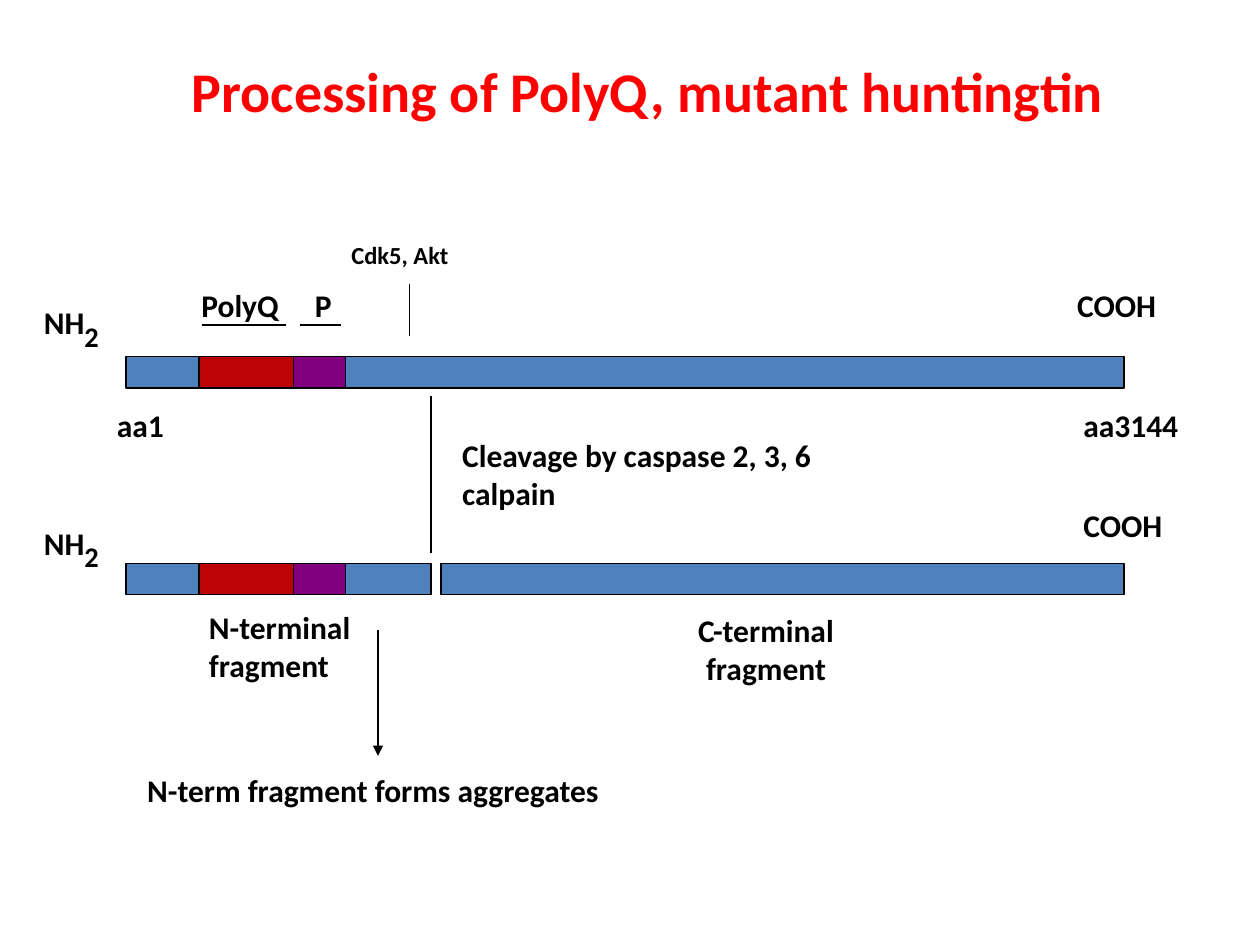
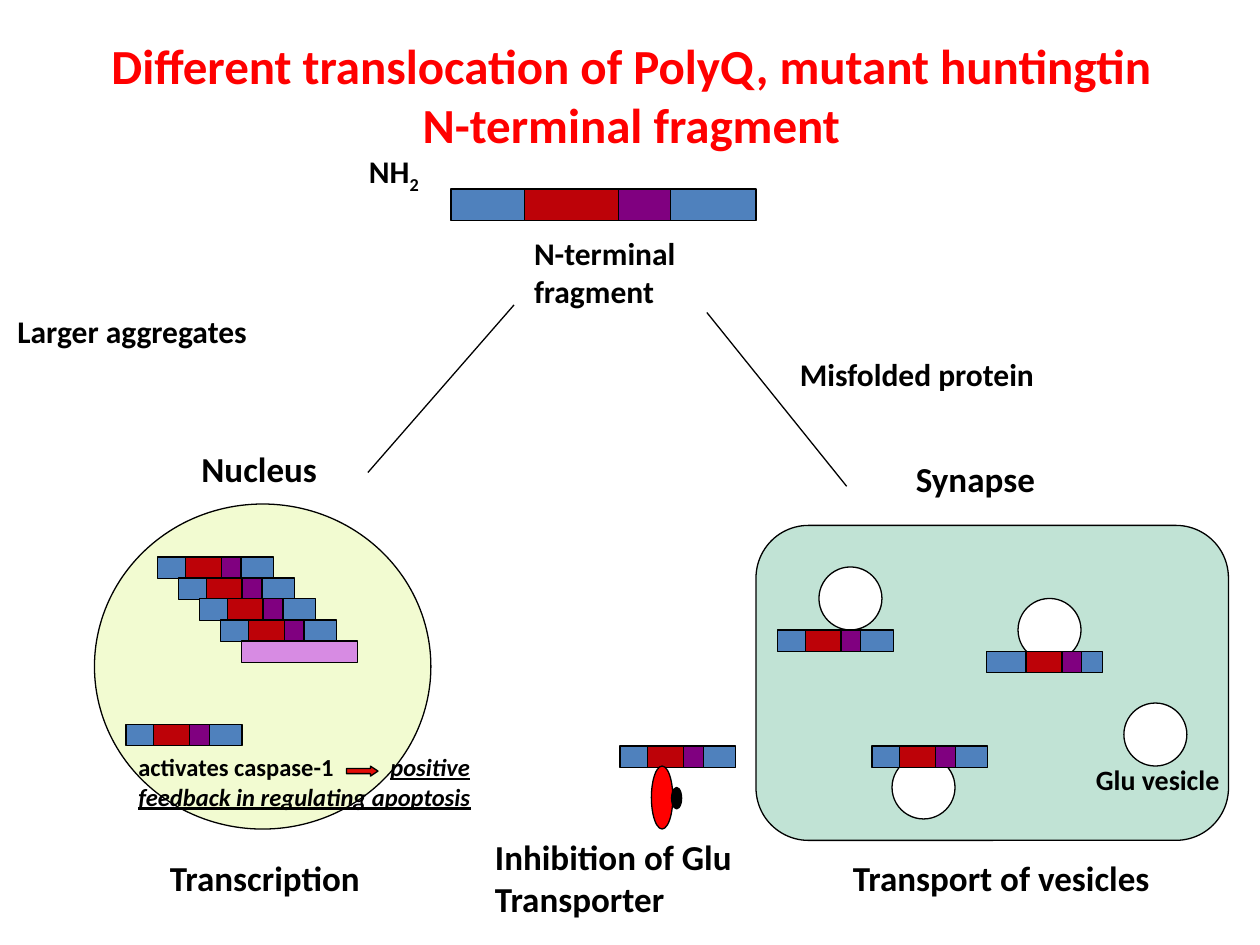
import dataclasses

import lxml.etree
import pptx
import pptx.dml.color
import pptx.enum.shapes
import pptx.enum.text
import pptx.oxml.ns
import pptx.util

Inches = pptx.util.Inches
Shape = pptx.enum.shapes.MSO_SHAPE
Align = pptx.enum.text.PP_ALIGN
AutoSize = pptx.enum.text.MSO_AUTO_SIZE


@dataclasses.dataclass(frozen=True)
class Theme:
    """Colours, type sizes and proportions shared by both slides."""

    font: str = "Calibri"
    ink: str = "000000"
    title: str = "FF0000"
    protein: str = "4F81BD"
    polyq: str = "BD0208"
    proline: str = "800080"
    aggregate: str = "D78BE3"
    nucleus: str = "F2FBD1"
    synapse: str = "C1E3D5"
    vesicle: str = "FFFFFF"
    arrow: str = "E30D08"
    label_size: int = 18
    heading_size: int = 20
    subscript_size: int = 28
    vesicle_size: int = 16
    note_size: int = 14
    line_width: float = 0.75
    bar_height: float = 0.25
    bar_width: float = 2.42
    small_height: float = 0.17
    small_width: float = 0.92
    polyq_start: float = 0.24
    polyq_share: float = 0.31
    proline_share: float = 0.17


THEME = Theme()


def rgb(value):
    """Return a colour from its hex value."""
    return pptx.dml.color.RGBColor.from_string(value)


def set_attributes(target, values):
    """Set each attribute of the target from a dict."""
    for name, value in values.items():
        setattr(target, name, value)


def write_paragraphs(frame, paragraphs, size, color=THEME.ink, alignment=Align.LEFT):
    """Fill a frame with paragraphs, each a list of (text, format) runs."""
    for index, runs in enumerate(paragraphs):
        paragraph = frame.add_paragraph() if index else frame.paragraphs[0]
        paragraph.alignment = alignment
        for text, values in runs:
            run = paragraph.add_run()
            run.text = text
            font = {"name": THEME.font, "size": pptx.util.Pt(size), "bold": True}
            set_attributes(run.font, font | values)
            run.font.color.rgb = rgb(color)


def plain(text):
    """Turn lines of text into paragraphs of one run."""
    return [[(line, {})] for line in text.split("\n")]


def add_label(slide, left, top, width, height, paragraphs,
              size=THEME.label_size, wrap=False, alignment=Align.LEFT):
    """Add a bold text box that fits its text."""
    if isinstance(paragraphs, str):
        paragraphs = plain(paragraphs)
    box = slide.shapes.add_textbox(*map(Inches, (left, top, width, height)))
    set_attributes(box.text_frame, {"word_wrap": wrap, "auto_size": AutoSize.SHAPE_TO_FIT_TEXT})
    write_paragraphs(box.text_frame, paragraphs, size, alignment=alignment)


def add_amino_end(slide, left, top, width, height, subscript_size):
    """Add the NH2 label with its lowered digit."""
    digit = {"size": pptx.util.Pt(subscript_size)}
    add_label(slide, left, top, width, height, [[("NH", {}), ("2", digit)]])
    run = slide.shapes[-1].text_frame.paragraphs[0].runs[1]
    run._r.get_or_add_rPr().set("baseline", "-25000")


def add_outlined(shapes, kind, left, top, width, height, fill):
    """Add a filled preset shape with a thin dark outline."""
    shape = shapes.add_shape(kind, *map(Inches, (left, top, width, height)))
    shape.shadow.inherit = False
    shape.fill.solid()
    shape.fill.fore_color.rgb = rgb(fill)
    shape.line.color.rgb = rgb(THEME.ink)
    shape.line.width = pptx.util.Pt(THEME.line_width)
    return shape


def add_line(slide, start, end, arrow=False):
    """Add a thin straight line, with an arrowhead at its end if asked."""
    connector = slide.shapes.add_connector(
        pptx.enum.shapes.MSO_CONNECTOR.STRAIGHT, *map(Inches, start + end))
    connector.line.color.rgb = rgb(THEME.ink)
    connector.line.width = pptx.util.Pt(THEME.line_width)
    properties = connector._element.spPr
    if arrow:
        outline = properties.find(pptx.oxml.ns.qn("a:ln"))
        lxml.etree.SubElement(outline, pptx.oxml.ns.qn("a:tailEnd"), type="triangle")
    lxml.etree.SubElement(properties, pptx.oxml.ns.qn("a:effectLst"))


def add_protein(shapes, left, top, width, height, domain_scale=None, polyq_start=THEME.polyq_start):
    """Add a protein bar with its PolyQ and proline domains."""
    scale = domain_scale or width
    polyq_left = left + polyq_start * scale
    polyq_width = THEME.polyq_share * scale
    parts = [
        (left, width, THEME.protein),
        (polyq_left, polyq_width, THEME.polyq),
        (polyq_left + polyq_width, THEME.proline_share * scale, THEME.proline),
    ]
    for part_left, part_width, fill in parts:
        add_outlined(shapes, Shape.RECTANGLE, part_left, top, part_width, height, fill)


def add_small_fragment(slide, left, top, polyq_start=THEME.polyq_start):
    """Add a grouped small N-terminal fragment and return the group's shapes."""
    shapes = slide.shapes.add_group_shape().shapes
    add_protein(shapes, left, top, THEME.small_width, THEME.small_height, polyq_start=polyq_start)
    return shapes


def add_titled_slide(presentation, box, text, size, alignment):
    """Add a title-only slide with a red title in the given box."""
    slide = presentation.slides.add_slide(presentation.slide_layouts[5])
    title = slide.shapes.title
    set_attributes(title, dict(zip(("left", "top", "width", "height"), map(Inches, box))))
    set_attributes(title.text_frame, {
        "word_wrap": True,
        "auto_size": AutoSize.NONE,
        "vertical_anchor": pptx.enum.text.MSO_ANCHOR.TOP,
    })
    write_paragraphs(title.text_frame, plain(text), size, THEME.title, alignment)
    return slide


def draw_full_protein(slide, left, top):
    """Draw the whole protein with its domains and ends labelled."""
    add_protein(slide.shapes, left, top, 7.92, THEME.bar_height, THEME.bar_width)
    add_amino_end(slide, left - 0.75, top - 0.61, 0.83, 0.5, THEME.subscript_size)
    labels = [
        (0.5, -0.61, 0.87, "PolyQ"),
        (1.4, -0.61, 0.35, "P"),
        (7.45, -0.61, 1.22, "COOH"),
        (-0.17, 0.34, 0.6, "aa1"),
        (7.5, 0.34, 1.1, "aa3144"),
    ]
    for x, y, width, text in labels:
        add_label(slide, left + x, top + y, width, 0.4, text)
    for x_start, x_end in ((0.6, 1.27), (1.38, 1.71)):
        add_line(slide, (left + x_start, top - 0.25), (left + x_end, top - 0.25))
    add_line(slide, (left + 2.25, top - 0.16), (left + 2.25, top - 0.58))
    add_label(slide, left + 1.69, top - 0.97, 1.06, 0.33, "Cdk5, Akt", THEME.note_size)


def draw_cleavage(slide, left, top):
    """Draw the cleavage site and the two fragments it leaves."""
    add_line(slide, (left + 2.42, top - 1.33), (left + 2.42, top - 0.08))
    add_label(slide, left + 2.57, top - 1.06, 3.06, 0.7, "Cleavage by caspase 2, 3, 6\ncalpain")
    add_protein(slide.shapes, left, top, THEME.bar_width, THEME.bar_height)
    add_outlined(slide.shapes, Shape.RECTANGLE, left + 2.5, top, 5.42, THEME.bar_height, THEME.protein)
    add_amino_end(slide, left - 0.75, top - 0.5, 0.83, 0.5, THEME.subscript_size)
    add_label(slide, left + 7.5, top - 0.5, 1.22, 0.5, "COOH")
    add_label(slide, left + 0.56, top + 0.31, 1.44, 0.7, "N-terminal\nfragment")
    add_label(slide, left + 4.33, top + 0.33, 1.5, 0.7, "C-terminal\nfragment", alignment=Align.CENTER)
    add_line(slide, (left + 2, top + 0.53), (left + 2, top + 1.53), arrow=True)
    add_label(slide, left + 0.07, top + 1.6, 5.2, 0.51, "N-term fragment forms aggregates")


def draw_fragment_routes(slide, left, top):
    """Draw the N-terminal fragment and the two routes it takes."""
    group = slide.shapes.add_group_shape()
    add_protein(group.shapes, left, top, THEME.bar_width, THEME.bar_height)
    add_amino_end(slide, left - 0.75, top - 0.34, 0.66, 0.4, THEME.label_size)
    add_label(slide, left + 0.56, top + 0.31, 1.44, 0.7, "N-terminal\nfragment")
    add_line(slide, (left + 0.5, top + 0.92), (left - 0.66, top + 2.25))
    add_line(slide, (left + 2.03, top + 0.98), (left + 3.14, top + 2.36))
    add_label(slide, left - 3.54, top + 0.93, 2.16, 0.4, "Larger aggregates")
    add_label(slide, left + 2.67, top + 1.27, 2.12, 0.4, "Misfolded protein")


def draw_nucleus(slide, left, top, width, height):
    """Draw the nucleus with its stack of aggregated fragments."""
    add_outlined(slide.shapes, Shape.OVAL, left, top, width, height, THEME.nucleus)
    add_label(slide, left + 0.75, top - 0.5, 1.15, 0.44, "Nucleus", THEME.heading_size)
    step, count = 1 / 6, 4
    stack_left, stack_top = left + 0.5, top + 0.42
    for index in range(count):
        add_small_fragment(slide, stack_left + index * step, stack_top + index * step)
    add_outlined(slide.shapes, Shape.RECTANGLE, stack_left + count * step, stack_top + count * step,
                 THEME.small_width, THEME.small_height, THEME.aggregate)
    add_small_fragment(slide, left + 0.25, top + 1.75)
    feedback = {"italic": True, "underline": True}
    add_label(slide, left + 0.25, top + 1.92, 2.92, 0.57,
              [[("activates caspase-1\t", {}),
                ("positive feedback in regulating apoptosis", feedback)]],
              THEME.note_size, wrap=True)
    arrow = add_outlined(slide.shapes, Shape.RIGHT_ARROW, left + 2, top + 2.08, 0.25, 0.08, THEME.arrow)
    arrow.adjustments[1] = 0.75
    add_label(slide, left + 0.5, top + 2.75, 1.85, 0.44, "Transcription", THEME.heading_size)


def draw_synapse(slide, left, top, width, height):
    """Draw the synapse with fragments bound to its vesicles."""
    add_outlined(slide.shapes, Shape.ROUNDED_RECTANGLE, left, top, width, height, THEME.synapse)
    add_label(slide, left + 1.17, top - 0.59, 1.18, 0.44, "Synapse", THEME.heading_size)
    diameter = 0.5
    bound = [
        (0.5, 0.33, 0.17, 0.83, THEME.polyq_start),
        (2.08, 0.58, 1.83, 1, 0.34),
        (1.08, 1.83, 0.92, 1.75, THEME.polyq_start),
    ]
    for vesicle_x, vesicle_y, bar_x, bar_y, polyq_start in bound:
        add_outlined(slide.shapes, Shape.OVAL, left + vesicle_x, top + vesicle_y,
                     diameter, diameter, THEME.vesicle)
        add_small_fragment(slide, left + bar_x, top + bar_y, polyq_start)
    add_outlined(slide.shapes, Shape.OVAL, left + 2.92, top + 1.41, diameter, diameter, THEME.vesicle)
    add_label(slide, left + 2.6, top + 1.83, 1.24, 0.37, "Glu vesicle", THEME.vesicle_size)
    add_label(slide, left + 0.67, top + 2.58, 2.67, 0.44, "Transport of vesicles", THEME.heading_size)


def draw_transporter(slide, left, top):
    """Draw the blocked glutamate transporter and its caption."""
    shapes = add_small_fragment(slide, left, top)
    add_outlined(shapes, Shape.OVAL, left + 0.25, top + 0.16, 0.17, 0.5, THEME.title)
    add_outlined(shapes, Shape.OVAL, left + 0.41, top + 0.33, 0.08, 0.17, THEME.ink)
    add_label(slide, left - 1.09, top + 0.66, 3.25, 0.77, "Inhibition of Glu Transporter",
              THEME.heading_size, wrap=True)


def build_processing_slide(presentation):
    """Build the slide on how the mutant protein is cut."""
    slide = add_titled_slide(presentation, (1.42, 0.4, 7.71, 0.63),
                             "Processing of PolyQ, mutant huntingtin", 32, Align.LEFT)
    draw_full_protein(slide, 1, 2.83)
    draw_cleavage(slide, 1, 4.47)


def build_translocation_slide(presentation):
    """Build the slide on where the N-terminal fragment goes."""
    slide = add_titled_slide(
        presentation, (0.55, 0.23, 8.92, 1.04),
        "Different translocation of PolyQ, mutant huntingtin\nN-terminal fragment", 28, Align.CENTER)
    draw_fragment_routes(slide, 3.58, 1.5)
    draw_nucleus(slide, 0.75, 4, 2.67, 2.58)
    draw_synapse(slide, 6, 4.17, 3.75, 2.5)
    draw_transporter(slide, 4.92, 5.92)


def main():
    """Build and save the presentation."""
    presentation = pptx.Presentation()
    presentation.slide_width = Inches(10)
    presentation.slide_height = Inches(7.5)
    build_processing_slide(presentation)
    build_translocation_slide(presentation)
    presentation.save("out.pptx")


if __name__ == "__main__":
    main()
